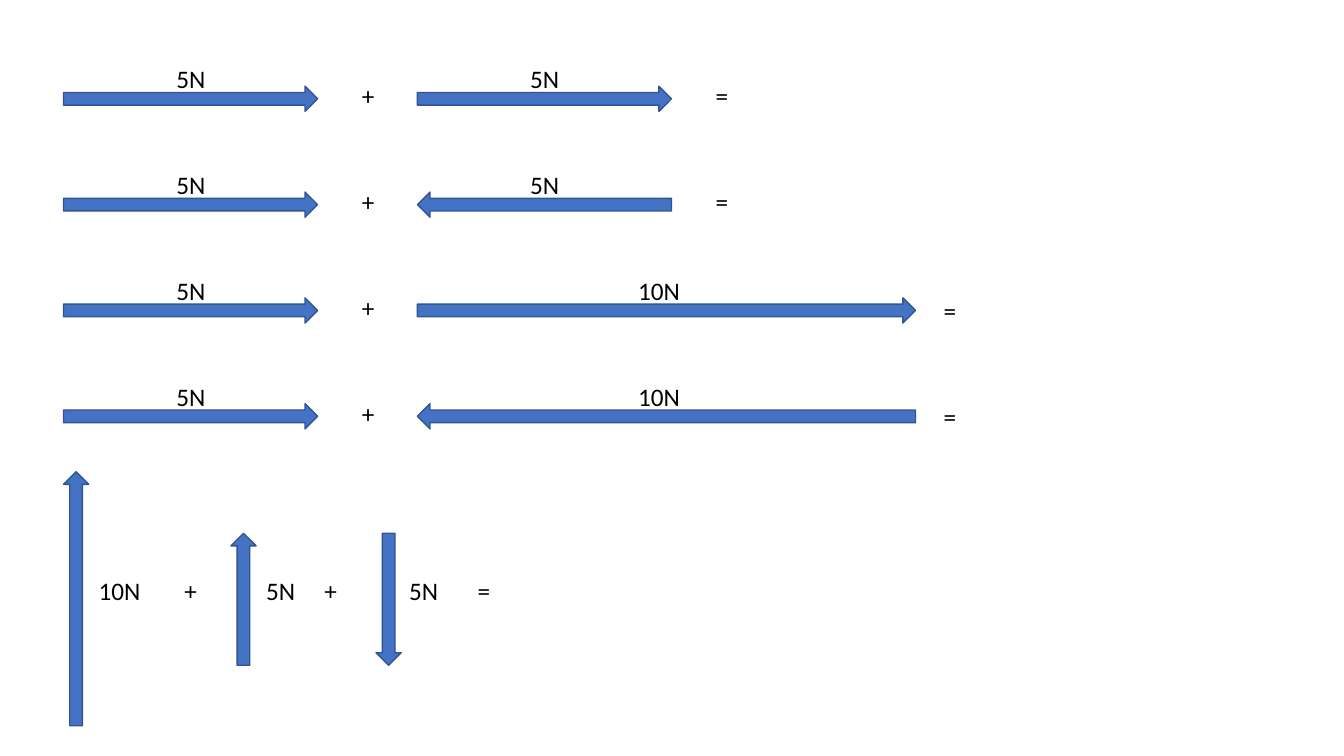
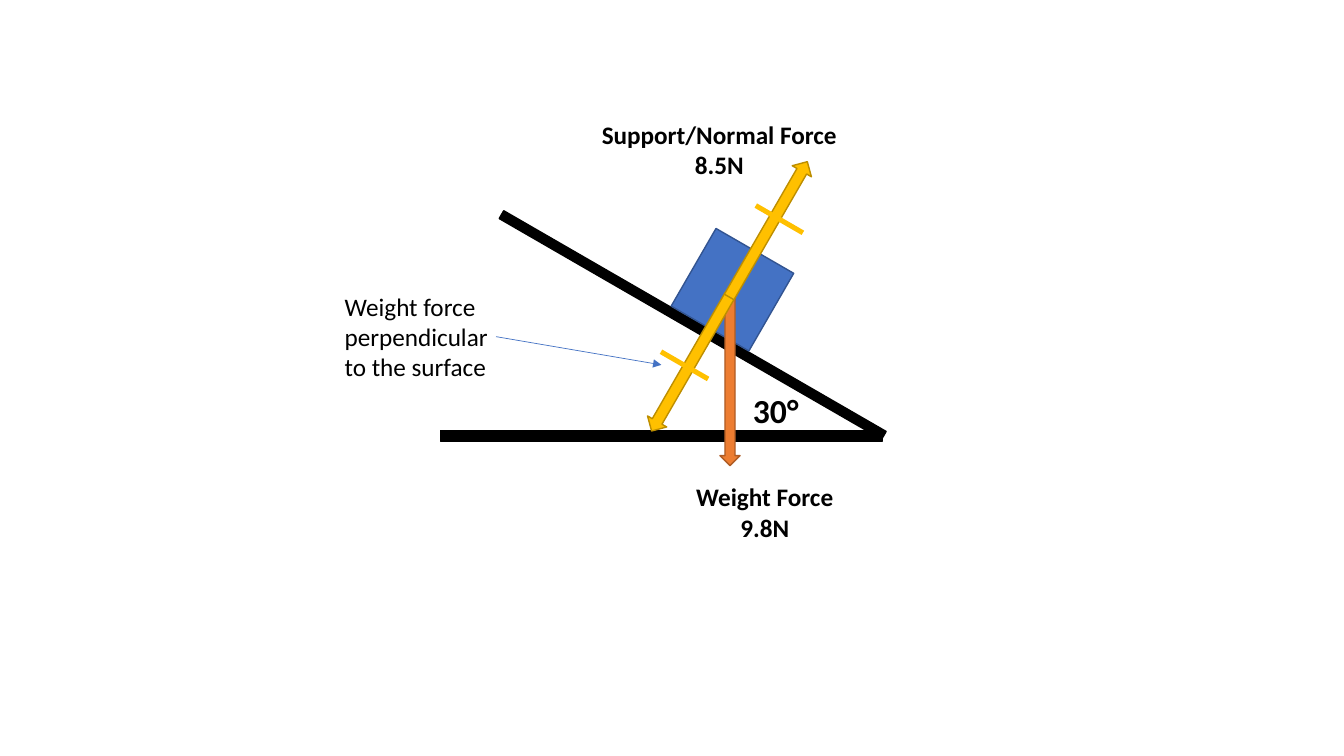
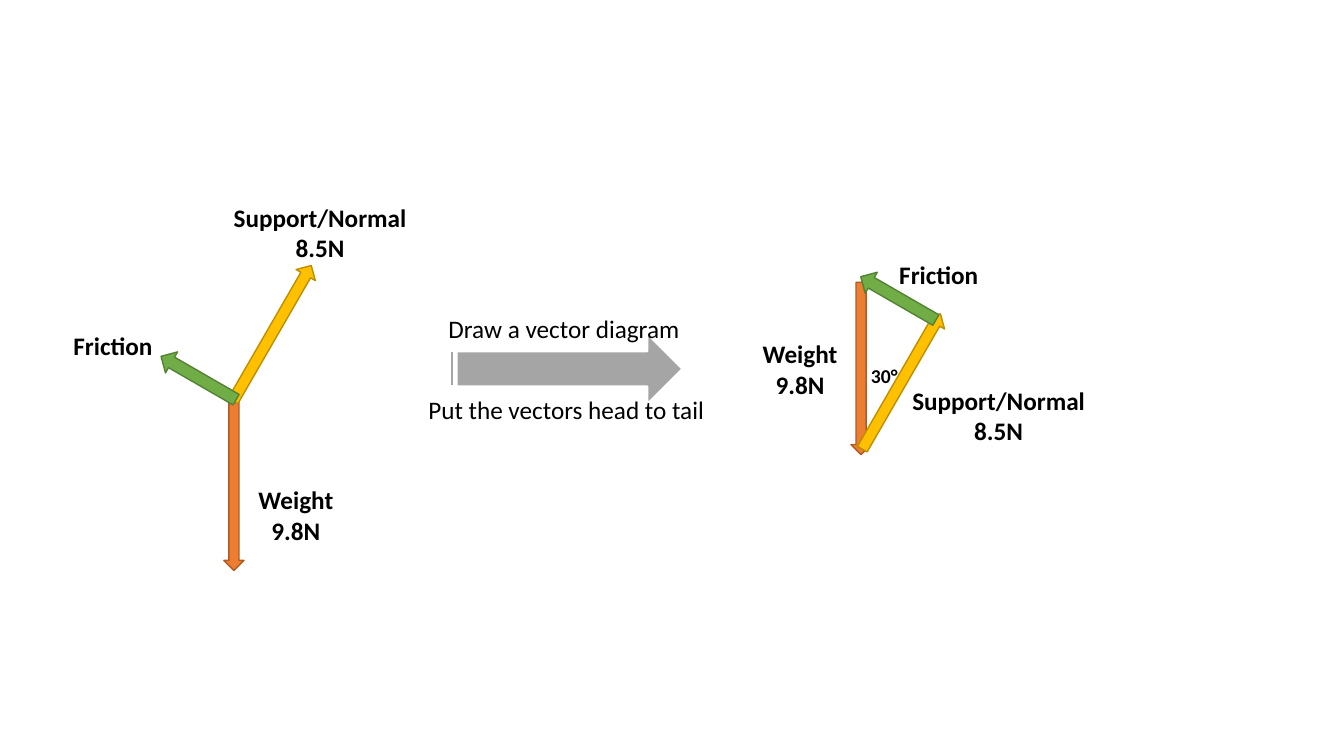
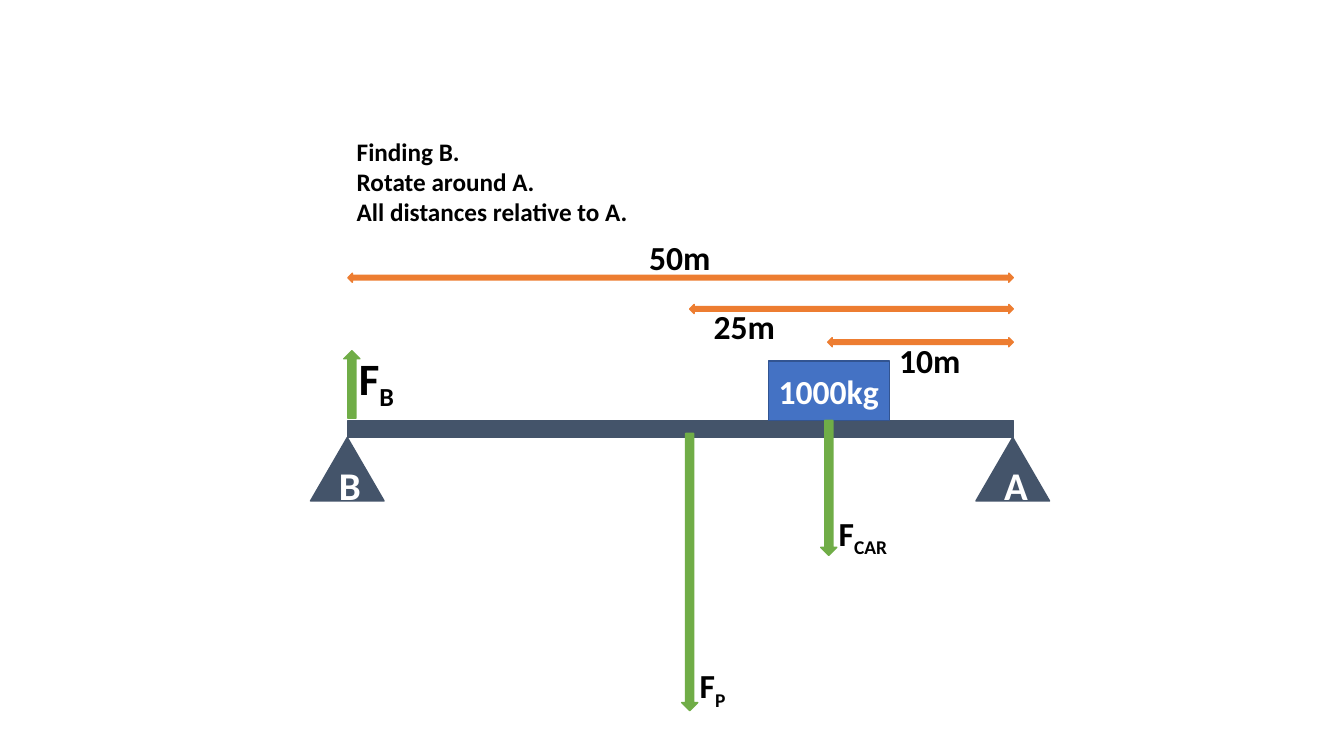
from dataclasses import dataclass

from lxml.etree import SubElement
from pptx import Presentation
from pptx.dml.color import RGBColor
from pptx.enum.shapes import MSO_CONNECTOR, MSO_SHAPE
from pptx.enum.text import MSO_ANCHOR, MSO_AUTO_SIZE, PP_ALIGN
from pptx.oxml.ns import qn
from pptx.util import Inches, Pt


@dataclass(frozen=True)
class Theme:
    font: str = "Calibri"
    black: str = "000000"
    white: str = "FFFFFF"
    # Pairs of fill and outline
    blue: tuple = ("4472C4", "325491")
    orange: tuple = ("ED7D31", "AF5C24")
    yellow: tuple = ("FFC000", "BD8E00")
    green: tuple = ("70AD47", "548235")
    surface: tuple = ("000000", "000000")
    tick: tuple = ("FFC000", None)
    step: tuple = ("A5A5A5", "FFFFFF")
    bridge: tuple = ("44546A", "44546A")
    distance: tuple = ("ED7D31", "ED7D31")
    force: tuple = ("70AD47", "70AD47")
    # Type sizes
    small: int = 14
    body: int = 18
    large: int = 24
    support: int = 28
    huge: int = 32


theme = Theme()


def draw(slide, preset, box, colors, turn=0, line_width=1):
    """Add a preset shape; box is left, top, width, height in inches."""
    shape = slide.shapes.add_shape(preset, *map(Inches, box))
    shape.rotation = turn
    shape.shadow.inherit = False
    fill, outline = colors
    shape.fill.solid()
    shape.fill.fore_color.rgb = RGBColor.from_string(fill)
    if outline:
        shape.line.color.rgb = RGBColor.from_string(outline)
        shape.line.width = Pt(line_width)
    else:
        shape.line.fill.background()
    return shape


def label(slide, text, box, size=theme.body, bold=True, align=PP_ALIGN.LEFT,
          wrap=False, subscript=""):
    """Add text; a tuple holds paragraphs and \\n is a line break."""
    frame = slide.shapes.add_textbox(*map(Inches, box)).text_frame
    frame.word_wrap = wrap
    frame.auto_size = MSO_AUTO_SIZE.SHAPE_TO_FIT_TEXT
    paragraphs = text if isinstance(text, tuple) else (text,)
    for index, content in enumerate(paragraphs):
        paragraph = frame.add_paragraph() if index else frame.paragraphs[0]
        paragraph.alignment = align
        for number, line in enumerate(content.split("\n")):
            if number:
                paragraph.add_line_break()
            paragraph.add_run().text = line
        if subscript:
            lowered = paragraph.add_run()
            lowered.text = subscript
            lowered.font._element.set("baseline", "-25000")
        for run in paragraph.runs:
            run.font.name = theme.font
            run.font.size = Pt(size)
            run.font.bold = bold
            run.font.color.rgb = RGBColor.from_string(theme.black)


presentation = Presentation()
presentation.slide_width = Inches(13.33)
presentation.slide_height = Inches(7.5)
blank = presentation.slide_layouts[6]
sums, slope, vectors, beam = [presentation.slides.add_slide(blank) for _ in range(4)]

# Slide 1: horizontal sums, one per row
thickness, short, long = 0.25, 2.52, 4.94
first_left, second_left, row_pitch = 0.63, 4.14, 1.05
rows = [
    # second force, its length, turn, label left, label width, equals left, equals top
    ("5N", short, 90, 5.16, 0.49, 7, 0.75),
    ("5N", short, 270, 5.16, 0.49, 7, 0.75),
    ("10N", long, 90, 6.23, 0.62, 9.26, 0.78),
    ("10N", long, 270, 6.23, 0.62, 9.26, 0.78),
]
for row, (force, length, turn, force_left, force_width, equals_left, equals_top) in enumerate(rows):
    drop = row * row_pitch
    for left, size, direction in [(first_left, short, 90), (second_left, length, turn)]:
        # The box is upright before it turns about its centre
        upright = (left + (size - thickness) / 2, 0.98 + drop - size / 2, thickness, size)
        draw(sums, MSO_SHAPE.UP_ARROW, upright, theme.blue, direction)
    for text, left, top, width in [
        ("5N", 1.65, 0.58, 0.49),
        (force, force_left, 0.58, force_width),
        ("+", 3.49, 0.75, 0.33),
        ("=", equals_left, equals_top, 0.33),
    ]:
        label(sums, text, (left, top + drop, width, 0.4), bold=False)

# Slide 1: vertical sum
for left, top, length, turn in [(0.63, 4.68, short, 0), (2.29, 5.29, 1.31, 0), (3.73, 5.29, 1.31, 180)]:
    draw(sums, MSO_SHAPE.UP_ARROW, (left, top, thickness, length), theme.blue, turn)
for text, left, width in [
    ("10N", 0.88, 0.62), ("+", 1.73, 0.33), ("5N", 2.54, 0.49),
    ("+", 3.12, 0.33), ("5N", 3.96, 0.49), ("=", 4.64, 0.33),
]:
    label(sums, text, (left, 5.66, width, 0.4), bold=False)

# Slide 2: block on a slope with its forces
for preset, box, colors, turn in [
    (MSO_SHAPE.RECTANGLE, (4.37, 4.27, 4.38, 0.11), theme.surface, 0),
    (MSO_SHAPE.RECTANGLE, (4.68, 3.18, 4.38, 0.09), theme.surface, 30),
    (MSO_SHAPE.RECTANGLE, (6.82, 2.43, 0.89, 0.89), theme.blue, 30),
    (MSO_SHAPE.UP_ARROW, (7.14, 2.91, 0.2, 1.71), theme.orange, 180),
    (MSO_SHAPE.UP_ARROW, (6.74, 2.83, 0.22, 1.55), theme.yellow, 210),
    (MSO_SHAPE.UP_ARROW, (7.51, 1.5, 0.22, 1.55), theme.yellow, 30),
    (MSO_SHAPE.RECTANGLE, (7.46, 2.15, 0.54, 0.05), theme.tick, 30),
    (MSO_SHAPE.RECTANGLE, (6.52, 3.6, 0.54, 0.05), theme.tick, 30),
]:
    draw(slope, preset, box, colors, turn)

label(slope, "Weight Force\n9.8N", (6.8, 4.73, 1.57, 0.71), align=PP_ALIGN.CENTER, wrap=True)
label(slope, "Support/Normal Force\n8.5N", (5.86, 1.13, 2.55, 0.71), align=PP_ALIGN.CENTER, wrap=True)
label(slope, "Weight force\nperpendicular\nto the surface", (3.32, 2.84, 1.64, 1.01), bold=False)
label(slope, "30°", (7.37, 3.82, 0.74, 0.5), theme.large, wrap=True)

# Slide 2: pointer to the perpendicular component
pointer = slope.shapes.add_connector(
    MSO_CONNECTOR.STRAIGHT, Inches(4.92), Inches(3.34), Inches(6.56), Inches(3.62))
pointer.line.color.rgb = RGBColor.from_string(theme.blue[0])
pointer.line.width = Pt(0.5)
SubElement(pointer.line._get_or_add_ln(), qn("a:tailEnd"), type="triangle")
SubElement(pointer._element.spPr, qn("a:effectLst"))

# Slide 3: free-body forces, then the same forces head to tail
draw(vectors, MSO_SHAPE.STRIPED_RIGHT_ARROW, (4.42, 3.31, 2.35, 0.7), theme.step, line_width=1.5)
for box, colors, turn in [
    ((2.22, 3.95, 0.2, 1.71), theme.orange, 180),
    ((2.59, 2.53, 0.22, 1.55), theme.yellow, 30),
    ((1.85, 3.32, 0.24, 0.86), theme.green, 300),
    ((8.44, 2.8, 0.2, 1.71), theme.orange, 180),
    ((8.83, 3.01, 0.22, 1.55), theme.yellow, 30),
    ((8.79, 2.53, 0.24, 0.86), theme.green, 300),
]:
    draw(vectors, MSO_SHAPE.UP_ARROW, box, colors, turn)

for weight, support, friction in [
    ((2.15, 4.76), (1.9, 1.96), (0.63, 3.23)),
    ((7.15, 3.31), (8.63, 3.77), (8.82, 2.52)),
]:
    label(vectors, "Weight\n9.8N", (*weight, 1.57, 0.71), align=PP_ALIGN.CENTER, wrap=True)
    label(vectors, "Support/Normal\n8.5N", (*support, 2.55, 0.71), align=PP_ALIGN.CENTER, wrap=True)
    label(vectors, "Friction", (*friction, 0.99, 0.4))
label(vectors, "Draw a vector diagram", (4.35, 3.06, 2.57, 0.4), bold=False, wrap=True)
label(vectors, "Put the vectors head to tail", (4.15, 3.86, 2.97, 0.4), bold=False, wrap=True)
label(vectors, "30°", (8.54, 3.56, 0.74, 0.34), theme.small, wrap=True)

# Slide 4: beam, supports and load
beam_left, beam_width = 3.45, 6.6
beam_right = beam_left + beam_width
draw(beam, MSO_SHAPE.RECTANGLE, (beam_left, 4.17, beam_width, 0.17), theme.bridge)
for text, preset, box, colors, size in [
    ("B", MSO_SHAPE.ISOSCELES_TRIANGLE, (3.08, 4.34, 0.73, 0.63), theme.bridge, theme.support),
    ("A", MSO_SHAPE.ISOSCELES_TRIANGLE, (9.68, 4.34, 0.73, 0.63), theme.bridge, theme.support),
    ("1000kg", MSO_SHAPE.RECTANGLE, (7.62, 3.58, 1.2, 0.59), theme.blue, theme.large),
]:
    frame = draw(beam, preset, box, colors).text_frame
    frame.vertical_anchor = MSO_ANCHOR.MIDDLE
    frame.paragraphs[0].alignment = PP_ALIGN.CENTER
    run = frame.paragraphs[0].add_run()
    run.text = text
    run.font.name = theme.font
    run.font.size = Pt(size)
    run.font.bold = True
    run.font.color.rgb = RGBColor.from_string(theme.white)

# Slide 4: distances, all ending at support A
for text, top, length, text_left, text_top in [
    ("50m", 2.71, beam_width, 6.34, 2.3),
    ("25m", 3.02, 3.21, 6.98, 2.99),
    ("10m", 3.35, 1.84, 8.82, 3.32),
]:
    draw(beam, MSO_SHAPE.LEFT_RIGHT_ARROW, (beam_right - length, top, length, 0.09), theme.distance)
    label(beam, text, (text_left, text_top, 0.82, 0.5), theme.large)

# Slide 4: forces on the beam
for subscript, left, top, length, turn, text_box, size in [
    ("B", 3.41, 3.48, 0.67, 0, (3.46, 3.43, 0.58, 0.64), theme.huge),
    ("CAR", 8.14, 4.17, 1.34, 180, (8.22, 5.04, 0.74, 0.5), theme.large),
    ("P", 6.76, 4.3, 2.75, 180, (6.84, 6.55, 0.48, 0.5), theme.large),
]:
    draw(beam, MSO_SHAPE.UP_ARROW, (left, top, 0.16, length), theme.force, turn)
    label(beam, "F", text_box, size, subscript=subscript)

# Slide 4: method
label(beam, ("Finding B.", "Rotate around A.", "All distances relative to A."), (3.44, 1.3, 2.9, 1.01))

presentation.save("out.pptx")
